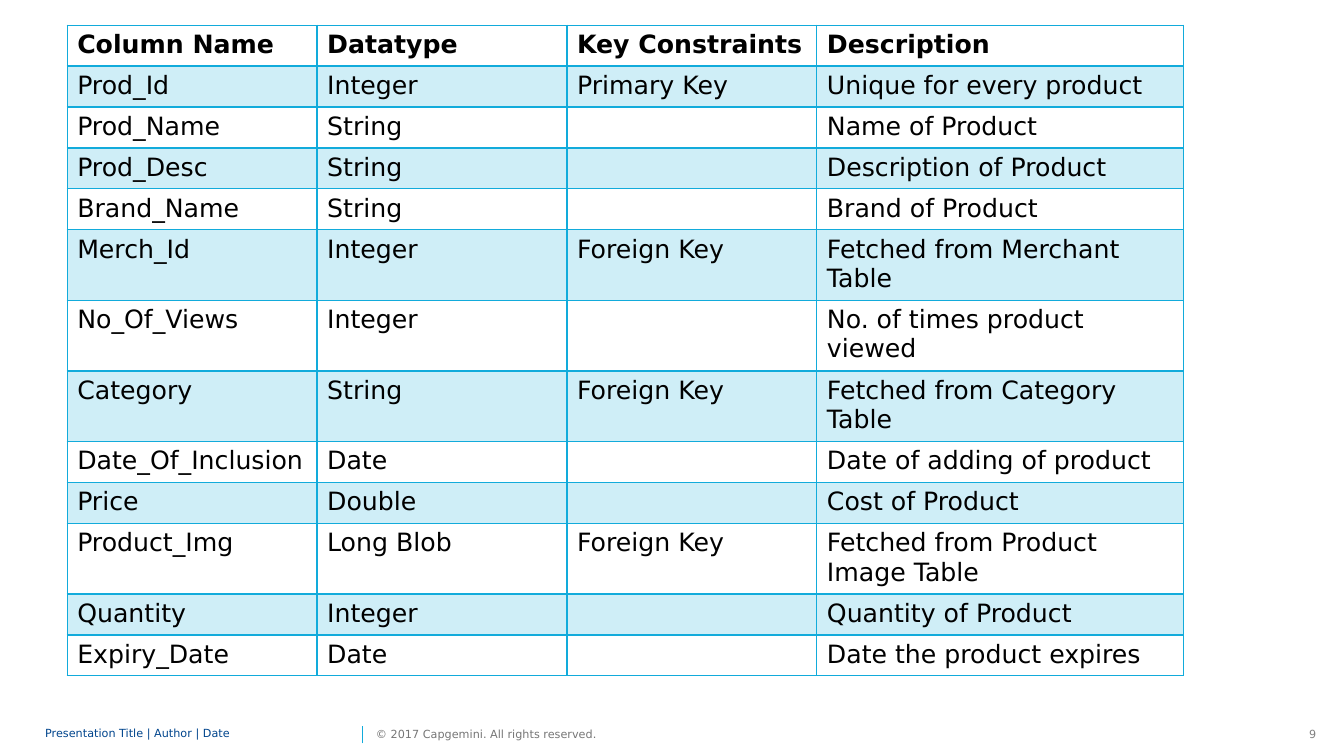
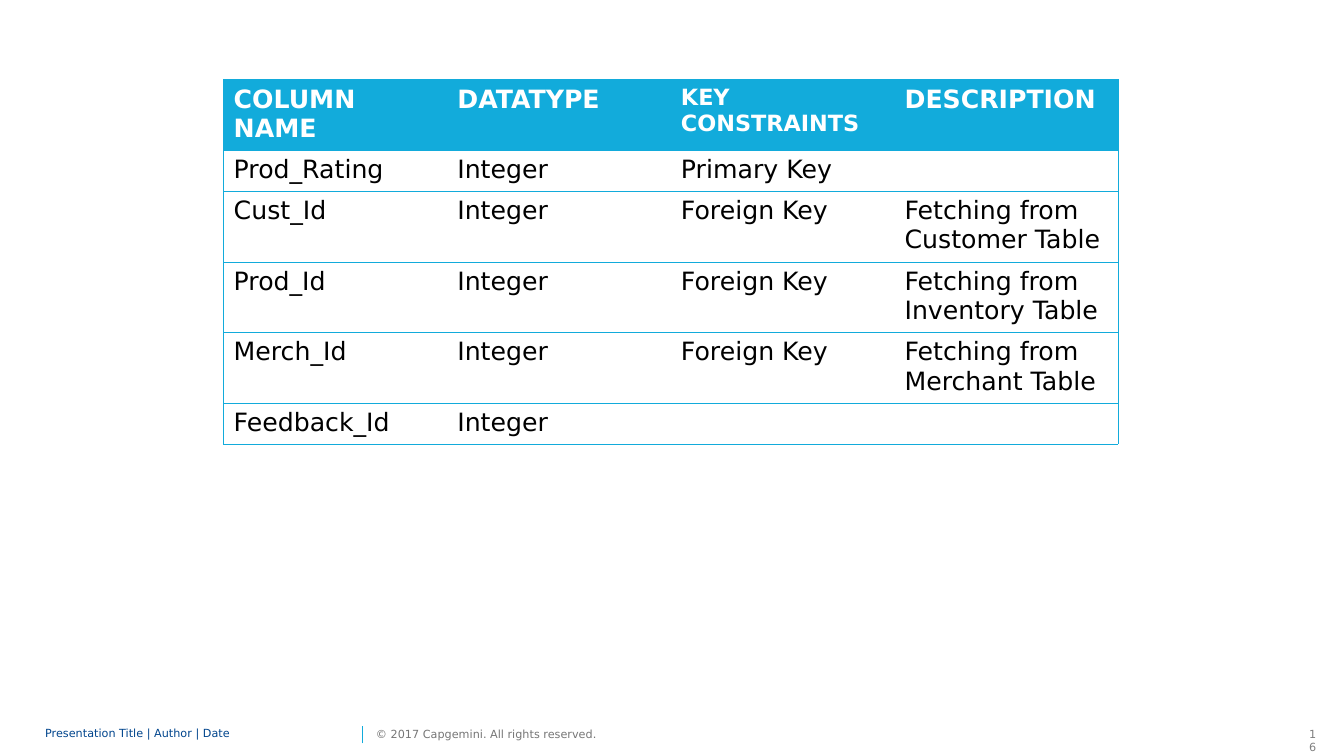
from dataclasses import dataclass

from pptx import Presentation
from pptx.dml.color import RGBColor
from pptx.enum.shapes import MSO_CONNECTOR
from pptx.enum.text import MSO_ANCHOR, PP_ALIGN
from pptx.oxml.ns import qn
from pptx.util import Pt
from lxml.etree import SubElement

SCALE = 9525


@dataclass(frozen=True)
class Theme:
    face: str = "DejaVu Sans"
    blue: str = "12ABDB"
    navy: str = "00458D"
    gray: str = "767676"
    light: str = "808080"
    black: str = "000000"
    white: str = "FFFFFF"
    small: int = 8
    label: int = 16
    body: int = 18
    tint: int = 20
    row: int = 39


THEME = Theme()

FLUSH = {"margin_left": 0, "margin_right": 0, "margin_top": 0,
         "margin_bottom": 0, "vertical_anchor": MSO_ANCHOR.MIDDLE}

GRID = {"rule": 1, "head": 2, "inner": 1, "fill": None,
        "ink": THEME.black, "band": True}
SOLID = {"rule": 0.5, "head": 0.5, "inner": 0, "fill": THEME.blue,
         "ink": THEME.white, "band": False}

STOCK = [
    ("Column Name", "Datatype", "Key Constraints", "Description"),
    ("Prod_Id", "Integer", "Primary Key", "Unique for every product"),
    ("Prod_Name", "String", "", "Name of Product"),
    ("Prod_Desc", "String", "", "Description of Product"),
    ("Brand_Name", "String", "", "Brand of Product"),
    ("Merch_Id", "Integer", "Foreign Key", "Fetched from Merchant Table"),
    ("No_Of_Views", "Integer", "", "No. of times product viewed"),
    ("Category", "String", "Foreign Key", "Fetched from Category Table"),
    ("Date_Of_Inclusion", "Date", "", "Date of adding of product"),
    ("Price", "Double", "", "Cost of Product"),
    ("Product_Img", "Long Blob", "Foreign Key", "Fetched from Product Image Table"),
    ("Quantity", "Integer", "", "Quantity of Product"),
    ("Expiry_Date", "Date", "", "Date the product expires"),
]

RATING = [
    ("COLUMN NAME", "DATATYPE", "KEY CONSTRAINTS", "DESCRIPTION"),
    ("Prod_Rating", "Integer", "Primary Key", ""),
    ("Cust_Id", "Integer", "Foreign Key", "Fetching from Customer Table"),
    ("Prod_Id", "Integer", "Foreign Key", "Fetching from Inventory Table"),
    ("Merch_Id", "Integer", "Foreign Key", "Fetching from Merchant Table"),
    ("Feedback_Id", "Integer", "", ""),
]

PAGES = [
    {"number": "9", "box": (64, 24), "widths": [238, 238, 238, 349],
     "rows": STOCK, "style": GRID, "sizes": {}},
    {"number": "16", "box": (213, 76), "widths": [213] * 4,
     "rows": RATING, "style": SOLID, "sizes": {(0, 2): THEME.label}},
]


def px(*values):
    return [value * SCALE for value in values]


def put(item, values):
    for name, value in values.items():
        setattr(item, name, value)


def write(para, text, size, color, bold=False):
    para.text = text
    put(para.font, {"name": THEME.face, "size": Pt(size), "bold": bold})
    para.font.color.rgb = RGBColor.from_string(color)


def label(slide, box, text, color, frame=FLUSH, wrap=True, **style):
    area = slide.shapes.add_textbox(*px(*box)).text_frame
    put(area, {"word_wrap": wrap, **frame})
    para = area.paragraphs[0]
    write(para, text, THEME.small, color)
    put(para, style)


def footer(slide, box, number):
    left, top, width, height = box
    label(slide, (left, top, 297, height), "Presentation Title | Author | Date",
          THEME.navy, line_spacing=0.85)
    bar = slide.shapes.add_connector(
        MSO_CONNECTOR.STRAIGHT, *px(left + 302, top + 20, left + 302, top + 3))
    bar.line.width = Pt(1)
    bar.line.color.rgb = RGBColor.from_string(THEME.blue)
    SubElement(bar.element.spPr, qn("a:effectLst"))
    label(slide, (left + 315, top, 233, height),
          "© 2017 Capgemini. All rights reserved.", THEME.gray, wrap=False)
    label(slide, (left + width - 26, top, 26, height), number, THEME.light,
          frame={}, alignment=PP_ALIGN.RIGHT)


def border(cell, edges):
    props = cell._tc.get_or_add_tcPr()
    for side, weight in edges.items():
        line = SubElement(props, qn(f"a:ln{side}"), w=str(int(Pt(weight))))
        if weight:
            fill = SubElement(line, qn("a:solidFill"))
            SubElement(fill, qn("a:srgbClr"), val=THEME.blue)
        else:
            SubElement(line, qn("a:noFill"))


def paint(cell, color, tint=None):
    if color is None:
        cell.fill.background()
        return
    cell.fill.solid()
    cell.fill.fore_color.rgb = RGBColor.from_string(color)
    if tint:
        tone = cell._tc.tcPr.find(qn("a:solidFill")).find(qn("a:srgbClr"))
        SubElement(tone, qn("a:alpha"), val=str(tint * 1000))


def schema(slide, box, widths, rows, style, sizes):
    size = sum(widths), THEME.row * len(rows)
    table = slide.shapes.add_table(
        len(rows), len(widths), *px(*box, *size)).table
    put(table, {"first_row": False, "horz_banding": False})
    for column, width in zip(table.columns, px(*widths)):
        column.width = width
    last = len(widths) - 1
    for r, words in enumerate(rows):
        table.rows[r].height = THEME.row * SCALE
        head = r == 0
        for c, text in enumerate(words):
            cell = table.cell(r, c)
            border(cell, {
                "L": style["rule"] if c == 0 else style["inner"],
                "R": style["rule"] if c == last else style["inner"],
                "T": style["head"] if r == 1 else style["rule"],
                "B": style["head"] if head else style["rule"],
            })
            if head:
                paint(cell, style["fill"])
            else:
                shade = style["band"] and r % 2
                paint(cell, THEME.blue if shade else None, THEME.tint)
            write(cell.text_frame.paragraphs[0], text,
                  sizes.get((r, c), THEME.body),
                  style["ink"] if head else THEME.black, head)


def main():
    deck = Presentation()
    put(deck, {"slide_width": 1280 * SCALE, "slide_height": 720 * SCALE})
    for page in PAGES:
        slide = deck.slides.add_slide(deck.slide_layouts[6])
        footer(slide, (43, 688, 1220, 23), page["number"])
        schema(slide, page["box"], page["widths"], page["rows"],
               page["style"], page["sizes"])
    deck.save("out.pptx")


if __name__ == "__main__":
    main()
